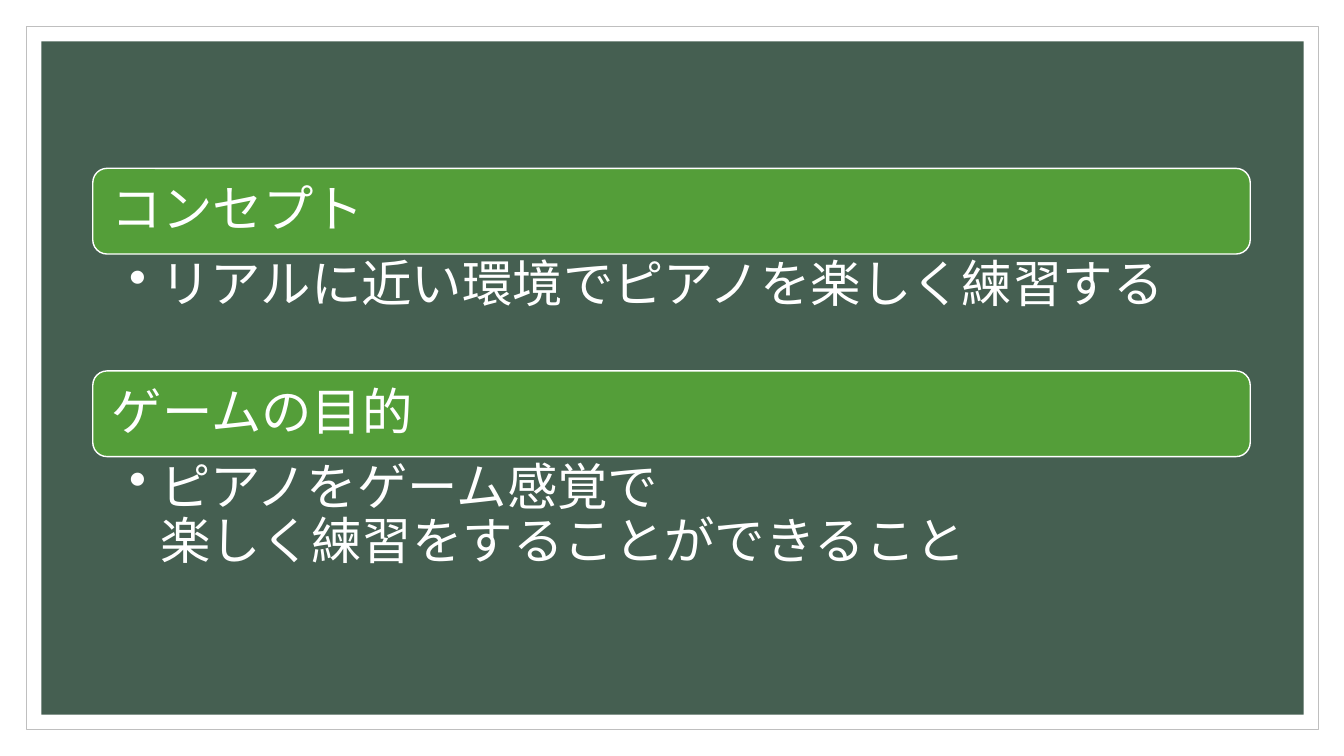
from lxml import etree
from pptx import Presentation
from pptx.dml.color import RGBColor
from pptx.enum import shapes, text
from pptx.oxml.ns import qn
from pptx.util import Inches, Pt

WHITE = RGBColor(0xFF, 0xFF, 0xFF)
GREY = RGBColor(0xBF, 0xBF, 0xBF)
DARK = RGBColor(0x45, 0x5F, 0x51)
GREEN = RGBColor(0x54, 0x9E, 0x39)
FONT = "TeX Gyre Adventor"
LEFT, WIDTH = 0.92, 11.48
BAR = 0.85
TOPICS = [
    (1.67, "コンセプト", 1.16, ["リアルに近い環境でピアノを楽しく練習する"]),
    (3.68, "ゲームの目的", 1.3,
     ["ピアノをゲーム感覚で", "楽しく練習をすることができること"]),
]


def add_box(slide, kind, place, fill, line=None, width=1):
    box = slide.shapes.add_shape(kind, *map(Inches, place))
    box.shadow.inherit = False
    box.fill.solid()
    box.fill.fore_color.rgb = fill
    if line is None:
        box.line.fill.background()
    else:
        box.line.color.rgb = line
        box.line.width = Pt(width)


def add_text(slide, place, lines, insets, anchor):
    frame = slide.shapes.add_textbox(*map(Inches, place)).text_frame
    frame.word_wrap = True
    frame.vertical_anchor = anchor
    (frame.margin_left, frame.margin_top,
     frame.margin_right, frame.margin_bottom) = map(Inches, insets)
    para = frame.paragraphs[0]
    para.line_spacing = 0.9
    for index, line in enumerate(lines):
        if index:
            para.add_line_break()
        run = para.add_run()
        run.text = line
        run.font.size = Pt(36)
        run.font.name = FONT
        run.font.color.rgb = WHITE
    return para


def add_bullet(para):
    para.level = 1
    props = para._p.get_or_add_pPr()
    props.set("marL", str(Inches(0.31)))
    props.set("indent", str(-Inches(0.31)))
    etree.SubElement(props, qn("a:buChar")).set("char", "•")


def add_topic(slide, top, head, depth, lines):
    add_box(slide, shapes.MSO_SHAPE.ROUNDED_RECTANGLE,
            (LEFT, top, WIDTH, BAR), GREEN, WHITE)
    add_text(slide, (LEFT + 0.04, top + 0.04, WIDTH - 0.08, BAR - 0.08),
             [head], [0.15] * 4, text.MSO_ANCHOR.MIDDLE)
    body = add_text(slide, (LEFT, top + BAR, WIDTH, depth), lines,
                    (0.36, 0.05, 0.28, 0.05), text.MSO_ANCHOR.TOP)
    add_bullet(body)


def main():
    deck = Presentation()
    deck.slide_width, deck.slide_height = Inches(13.33), Inches(7.5)
    slide = deck.slides.add_slide(deck.slide_layouts[6])
    rect = shapes.MSO_SHAPE.RECTANGLE
    add_box(slide, rect, (0.26, 0.26, 12.82, 6.98), WHITE, GREY, 0.5)
    add_box(slide, rect, (0.41, 0.41, 12.52, 6.68), DARK)
    for topic in TOPICS:
        add_topic(slide, *topic)
    deck.save("out.pptx")


if __name__ == "__main__":
    main()
